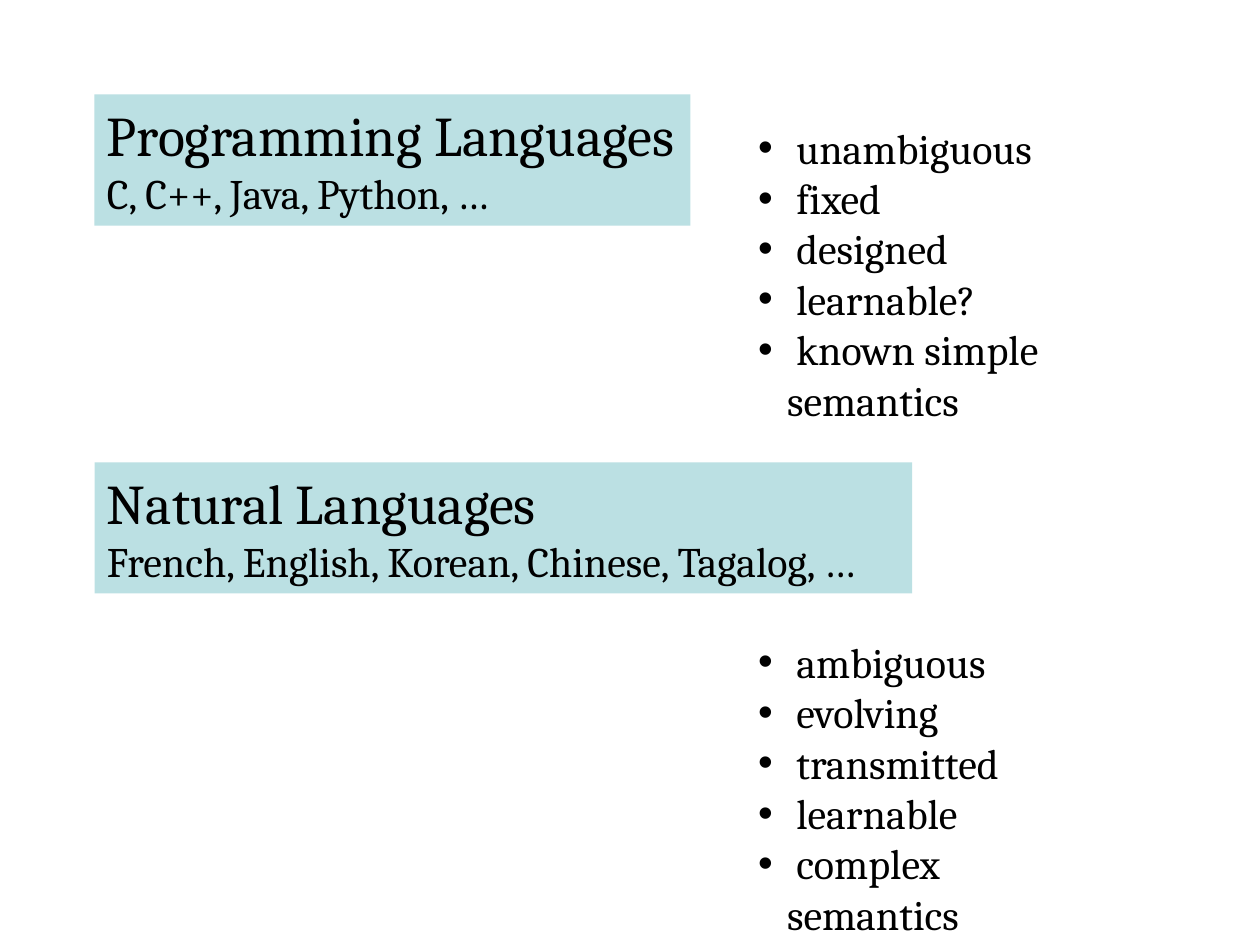
"""Build a slide that contrasts programming languages with natural languages."""
from dataclasses import dataclass

from lxml import etree
from pptx import Presentation
from pptx.dml.color import RGBColor
from pptx.enum.shapes import MSO_SHAPE
from pptx.enum.text import MSO_ANCHOR, PP_ALIGN
from pptx.oxml.ns import qn
from pptx.util import Pt

RECT = MSO_SHAPE.RECTANGLE
TOP = MSO_ANCHOR.TOP
LEFT = PP_ALIGN.LEFT


@dataclass(frozen=True)
class Theme:
    font: str = "Cambria"
    mark: str = "Arial"
    ink: RGBColor = RGBColor(0x00, 0x00, 0x00)
    fill: RGBColor = RGBColor(0xBB, 0xE0, 0xE3)
    head: float = 32
    body: float = 24
    hang: float = 16.5


@dataclass(frozen=True)
class Group:
    title: str
    names: str
    top: float
    width: float
    traits: tuple[str, ...]
    list_top: float
    list_width: float


THEME = Theme()
BOX_LEFT, BOX_HEIGHT = 54, 75
LIST_LEFT, LIST_HEIGHT = 426.2, 152.6
GROUPS = (
    Group("Programming Languages", "C, C++, Java, Python, …", 54, 340.6,
          ("unambiguous", "fixed", "designed", "learnable?",
           "known simple semantics"), 66.2, 265.7),
    Group("Natural Languages", "French, English, Korean, Chinese, Tagalog, …",
          264.2, 467.3,
          ("ambiguous", "evolving", "transmitted", "learnable",
           "complex semantics"), 360, 212.4),
)


def write(frame, lines: list[tuple[str, float]]) -> None:
    frame.word_wrap = True
    frame.vertical_anchor = TOP
    for i, (text, size) in enumerate(lines):
        para = frame.add_paragraph() if i else frame.paragraphs[0]
        para.text = text
        para.alignment = LEFT
        font = para.font
        font.name, font.size = THEME.font, Pt(size)
        font.color.rgb = THEME.ink


def add_bullet(para) -> None:
    props = para._p.get_or_add_pPr()
    props.set("marL", str(Pt(THEME.hang)))
    props.set("indent", str(-Pt(THEME.hang)))
    face = etree.Element(qn("a:buFont"), typeface=THEME.mark)
    mark = etree.Element(qn("a:buChar"), char="•")
    props.insert(0, face)
    props.insert(1, mark)


def draw_box(shapes, group: Group) -> None:
    box = shapes.add_shape(RECT, Pt(BOX_LEFT), Pt(group.top),
                           Pt(group.width), Pt(BOX_HEIGHT))
    box.shadow.inherit = False
    box.fill.solid()
    box.fill.fore_color.rgb = THEME.fill
    box.line.fill.background()
    write(box.text_frame,
          [(group.title, THEME.head), (group.names, THEME.body)])


def draw_list(shapes, group: Group) -> None:
    box = shapes.add_textbox(Pt(LIST_LEFT), Pt(group.list_top),
                             Pt(group.list_width), Pt(LIST_HEIGHT))
    write(box.text_frame,
          [(f" {trait}", THEME.body) for trait in group.traits])
    for para in box.text_frame.paragraphs:
        add_bullet(para)


def main() -> None:
    deck = Presentation()
    deck.slide_width, deck.slide_height = Pt(720), Pt(540)
    slide = deck.slides.add_slide(deck.slide_layouts[6])
    for draw in (draw_box, draw_list):
        for group in GROUPS:
            draw(slide.shapes, group)
    deck.save("out.pptx")


if __name__ == "__main__":
    main()
